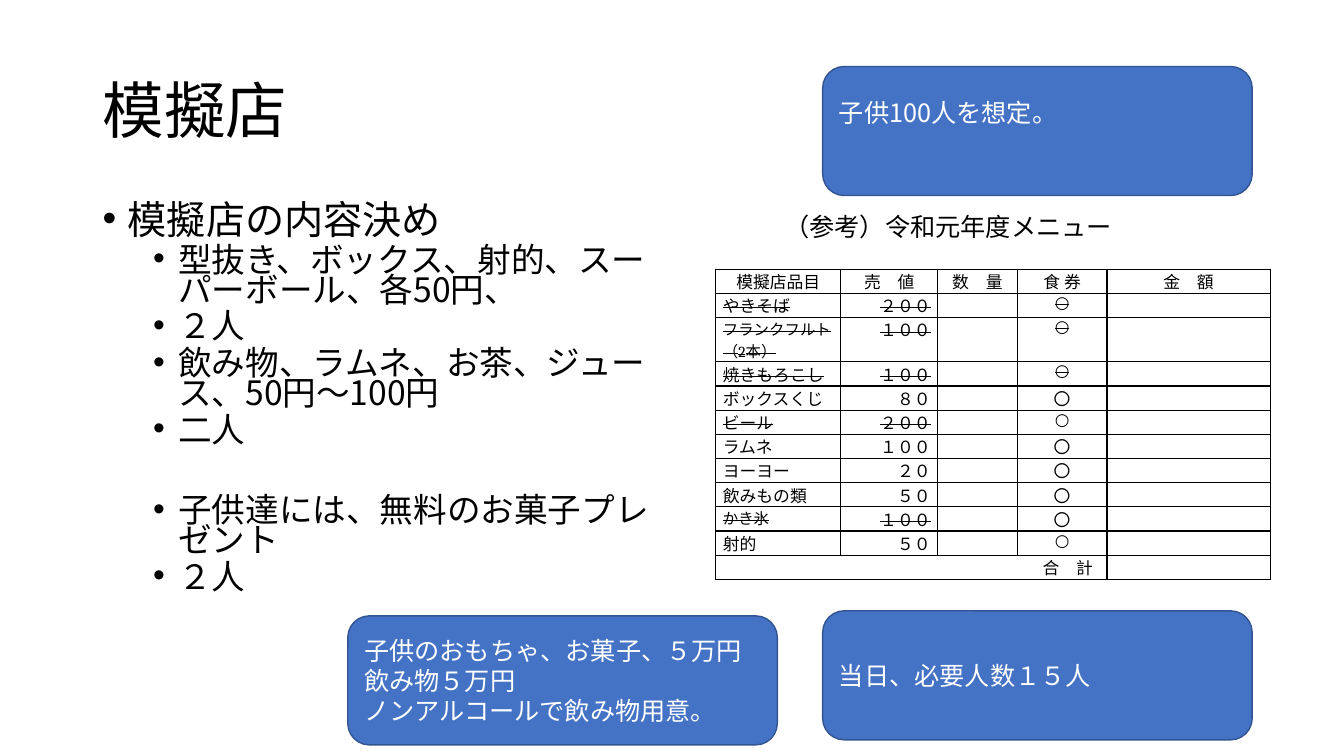
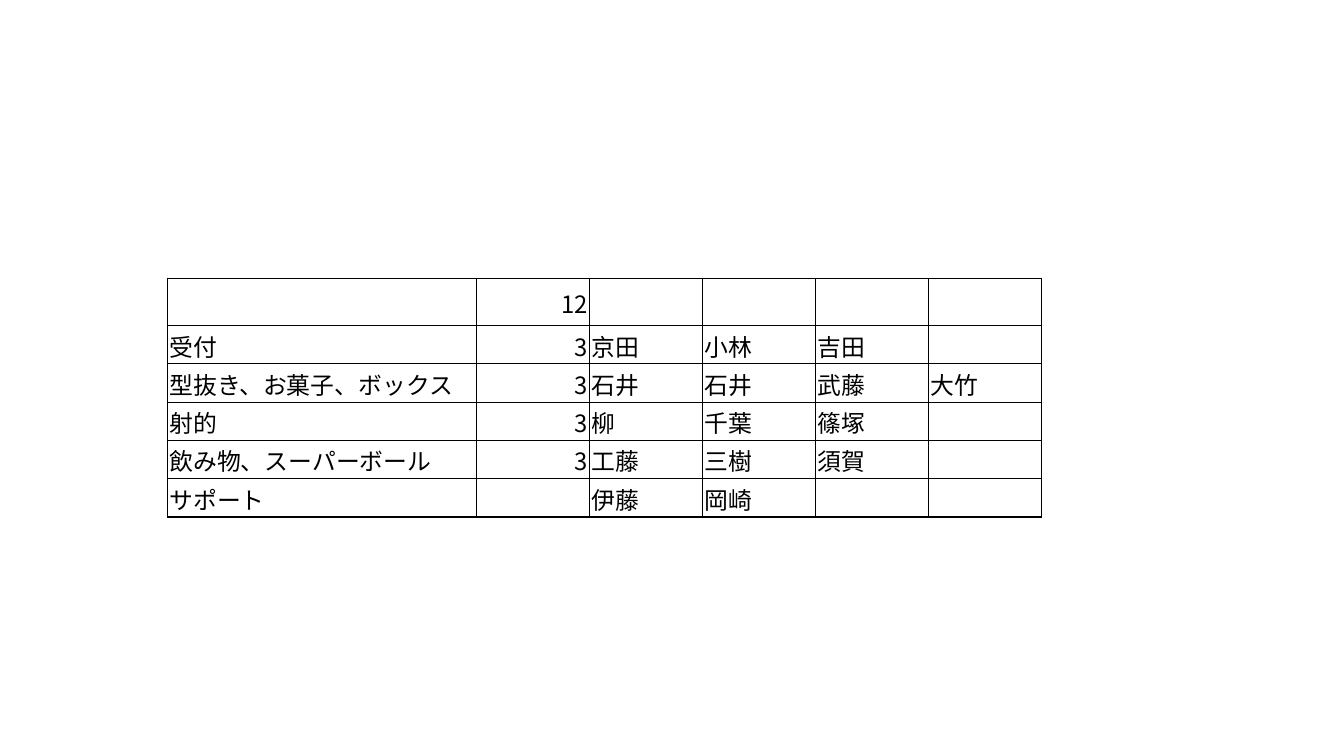
from dataclasses import dataclass

from lxml.etree import SubElement
from pptx import Presentation
from pptx.dml.color import RGBColor
from pptx.enum.shapes import MSO_SHAPE as Shape
from pptx.enum.text import MSO_ANCHOR as Anchor, PP_ALIGN as Align
from pptx.oxml.ns import qn
from pptx.util import Inches, Pt

COLORS = {"ink": "000000", "paper": "FFFFFF", "note": "4472C4", "edge": "325491"}
SANS = "Noto Sans CJK JP"
SERIF = "Cambria"


def apply(target, values):
    for name, value in values.items():
        setattr(target, name, value)


@dataclass
class Entry:
    text: str = ""
    align: Align = Align.LEFT
    struck: bool = False
    size: float = 0
    indent: float = 0


class Deck:
    def __init__(self, width, height):
        self.deck = Presentation()
        apply(self.deck, {"slide_width": Inches(width), "slide_height": Inches(height)})
        self.page = None

    def add_page(self):
        self.page = self.deck.slides.add_slide(self.deck.slide_layouts[6])

    def color(self, name):
        return RGBColor.from_string(COLORS[name])

    def add_span(self, para, text, size, color="ink", font=SANS, struck=False):
        if text:
            span = para.add_run()
            span.text = text
            apply(span.font, {"name": font, "size": Pt(size)})
            span.font.color.rgb = self.color(color)
            props = span.font._element
            SubElement(props, qn("a:ea")).set("typeface", SANS)
            if struck:
                props.set("strike", "sngStrike")
        else:
            props = SubElement(para._p, qn("a:endParaRPr"))
            props.set("sz", str(int(size * 100)))
            SubElement(props, qn("a:latin")).set("typeface", font)

    def text(self, at, lines, size, wrap=True, anchor=Anchor.TOP, spacing=1.0):
        box = self.page.shapes.add_textbox(*map(Inches, at))
        self.fill_frame(box.text_frame, lines, size, "ink", wrap, anchor, spacing)

    def fill_frame(self, frame, lines, size, color, wrap=True, anchor=Anchor.MIDDLE, spacing=1.0):
        apply(frame, {"word_wrap": wrap, "vertical_anchor": anchor})
        for index, line in enumerate(lines):
            para = frame.add_paragraph() if index else frame.paragraphs[0]
            apply(para, {"alignment": Align.LEFT, "line_spacing": spacing})
            self.add_span(para, line, size, color)

    def note(self, at, lines, bottom=0.05):
        box = self.page.shapes.add_shape(Shape.ROUNDED_RECTANGLE, *map(Inches, at))
        box.shadow.inherit = False
        box.fill.solid()
        box.fill.fore_color.rgb = self.color("note")
        box.line.color.rgb = self.color("edge")
        box.line.width = Pt(1)
        box.text_frame.margin_bottom = Inches(bottom)
        self.fill_frame(box.text_frame, lines, 18, "paper")

    def bullets(self, at, items):
        frame = self.page.shapes.add_textbox(*map(Inches, at)).text_frame
        frame.word_wrap = True
        for index, (level, before, text) in enumerate(items):
            para = frame.add_paragraph() if index else frame.paragraphs[0]
            apply(para, {"level": level, "line_spacing": 0.74, "space_before": Pt(before)})
            props = para._p.get_or_add_pPr()
            props.set("marL", str(Inches(0.25 + 0.5 * level)))
            props.set("indent", str(Inches(-0.25)))
            SubElement(props, qn("a:buFont")).set("typeface", "Arial")
            SubElement(props, qn("a:buChar")).set("char", "•")
            self.add_span(para, text, 24 if level else 28)

    def border(self, cell):
        props = cell._tc.get_or_add_tcPr()
        for side in ("lnL", "lnR", "lnT", "lnB"):
            line = SubElement(props, qn("a:" + side), w=str(Pt(1)))
            fill = SubElement(line, qn("a:solidFill"))
            SubElement(fill, qn("a:srgbClr")).set("val", COLORS["ink"])

    def table(self, left, top, widths, heights, rows, size, font, cell_format):
        table = self.page.shapes.add_table(
            len(rows), len(widths), Inches(left), Inches(top),
            Inches(sum(widths)), Inches(sum(heights))).table
        apply(table, {"first_row": False, "horz_banding": False})
        for column, width in zip(table.columns, widths):
            column.width = Inches(width)
        for row, height, entries in zip(table.rows, heights, rows):
            row.height = Inches(height)
            for cell, entry in zip(row.cells, entries):
                self.border(cell)
                cell.fill.background()
                apply(cell, cell_format)
                for index, line in enumerate(entry.text.split("\n")):
                    frame = cell.text_frame
                    para = frame.add_paragraph() if index else frame.paragraphs[0]
                    para.alignment = entry.align
                    if entry.indent:
                        para._p.get_or_add_pPr().set("indent", str(Inches(entry.indent)))
                    self.add_span(para, line, entry.size or size, font=font, struck=entry.struck)
        return table


MENU_HEADER = ["模擬店品目", "売　値", "数　量", "食 券", "金　額"]
MENU = [
    ("やきそば", "２００", "○", True, True, 12),
    ("フランクフルト\n（2本）", "１００", "○", True, True, 11),
    ("焼きもろこし", "１００", "○", True, True, 12),
    ("ボックスくじ", "８０", "〇", False, False, 12),
    ("ビール", "２００", "○", True, False, 12),
    ("ラムネ", "１００", "〇", False, False, 12),
    ("ヨーヨー", "２０", "〇", False, False, 12),
    ("飲みもの類", "５０", "〇", False, False, 12),
    ("かき氷", "１００", "〇", True, False, 11),
    ("射的", "５０", "○", False, False, 12),
]
MENU_FORMAT = {"margin_left": Inches(0.07), "margin_right": Inches(0.07),
               "margin_top": 0, "margin_bottom": 0, "vertical_anchor": Anchor.TOP}

STAFF = [
    ["", "12", "", "", "", ""],
    ["受付", "3", "京田", "小林", "吉田", ""],
    ["型抜き、お菓子、ボックス", "3", "石井", "石井", "武藤", "大竹"],
    ["射的", "3", "柳", "千葉", "篠塚", ""],
    ["飲み物、スーパーボール", "3", "工藤", "三樹", "須賀", ""],
    ["サポート", "", "伊藤", "岡崎", "", ""],
]
STAFF_FORMAT = {"margin_left": Inches(0.02), "margin_right": Inches(0.02),
                "margin_top": Inches(0.02), "margin_bottom": 0,
                "vertical_anchor": Anchor.MIDDLE}

PLANS = [
    (0, 10, "模擬店の内容決め"),
    (1, 5, "型抜き、ボックス、射的、スーパーボール、各50円、"),
    (1, 5, "２人"),
    (1, 5, "飲み物、ラムネ、お茶、ジュース、50円～100円"),
    (1, 5, "二人"),
    (1, 36, "子供達には、無料のお菓子プレゼント"),
    (1, 5, "２人"),
]


def menu_rows():
    rows = [[Entry(text, Align.CENTER) for text in MENU_HEADER]]
    for name, price, ticket, struck, ticket_struck, size in MENU:
        rows.append([Entry(name, struck=struck, size=size),
                     Entry(price, Align.RIGHT, struck), Entry(),
                     Entry(ticket, Align.CENTER, ticket_struck), Entry()])
    return rows + [[Entry("合　計", indent=3.17)] + [Entry()] * 4]


def stall_page(deck):
    deck.add_page()
    deck.text((0.92, 0.4, 11.5, 1.45), ["模擬店"], 44, anchor=Anchor.MIDDLE, spacing=0.9)
    deck.bullets((0.92, 2, 5.84, 4.76), PLANS)
    heights = [0.24] * 2 + [0.44] + [0.24] * 9
    menu = deck.table(7.1, 2.67, [1.24, 0.96, 0.79, 0.89, 1.62], heights,
                      menu_rows(), 12, SERIF, MENU_FORMAT)
    menu.cell(11, 0).merge(menu.cell(11, 3))
    deck.text((7.68, 2.05, 3.48, 0.4), ["（参考）令和元年度メニュー"], 18, wrap=False)
    deck.note((3.45, 6.11, 4.26, 1.28),
              ["子供のおもちゃ、お菓子、５万円", "飲み物５万円", "ノンアルコールで飲み物用意。"])
    deck.note((8.16, 6.06, 4.26, 1.28), ["当日、必要人数１５人"])
    deck.note((8.16, 0.66, 4.26, 1.28), ["子供100人を想定。"], bottom=0.41)


def staff_page(deck):
    deck.add_page()
    rows = [[Entry(text, Align.RIGHT if column == 1 else Align.LEFT)
             for column, text in enumerate(row)] for row in STAFF]
    deck.table(1.66, 2.76, [3.07] + [1.12] * 5, [0.47] + [0.38] * 5,
               rows, 17, SANS, STAFF_FORMAT)


def main():
    deck = Deck(13.33, 7.5)
    stall_page(deck)
    staff_page(deck)
    deck.deck.save("out.pptx")


if __name__ == "__main__":
    main()
